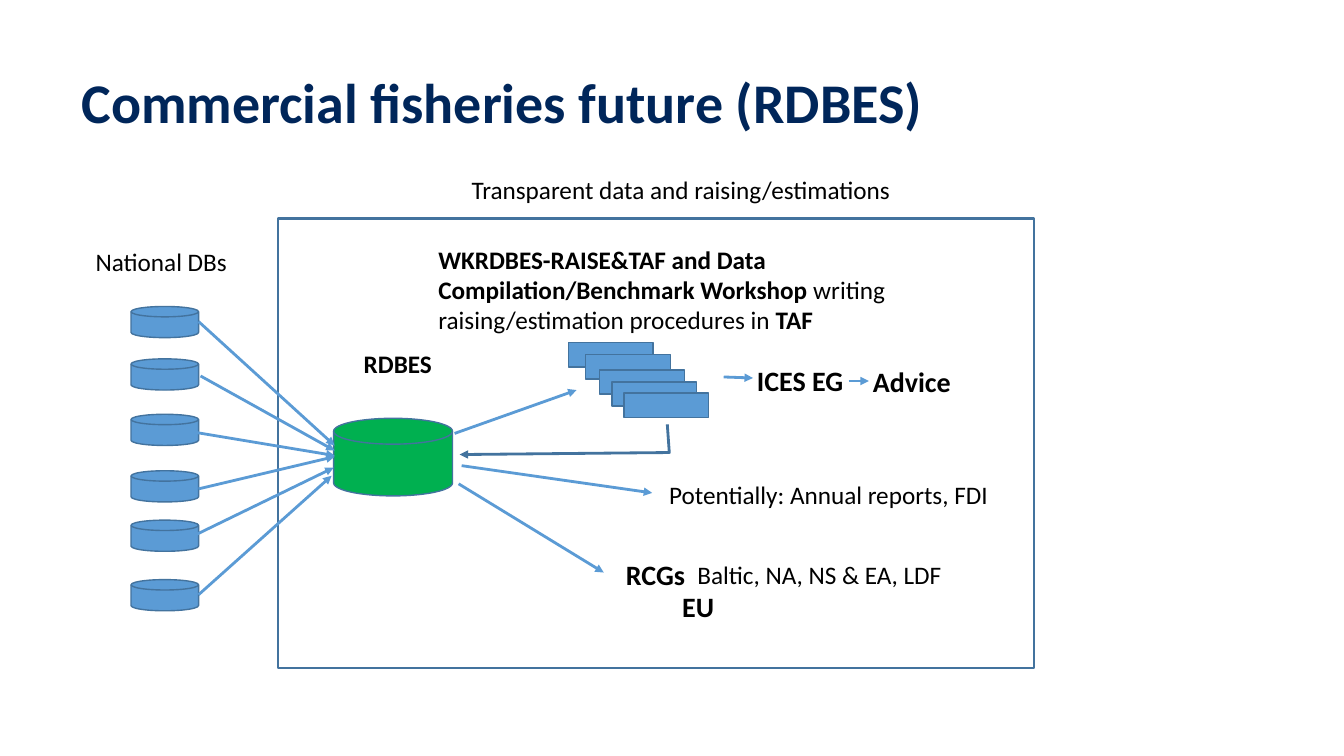
from dataclasses import dataclass

from lxml import etree
from pptx import Presentation
from pptx.dml.color import RGBColor
from pptx.enum.shapes import MSO_CONNECTOR, MSO_SHAPE
from pptx.enum.text import MSO_ANCHOR
from pptx.oxml.ns import qn
from pptx.util import Inches, Pt

RECTANGLE = MSO_SHAPE.RECTANGLE
DISK = MSO_SHAPE.FLOWCHART_MAGNETIC_DISK
STRAIGHT = MSO_CONNECTOR.STRAIGHT
TOP, MIDDLE = MSO_ANCHOR.TOP, MSO_ANCHOR.MIDDLE

WIDTH, HEIGHT = Inches(13.33), Inches(7.5)
COLUMNS, ROWS = 40, 30

FONT = "Calibri"
WHITE, BLACK, NAVY = "FFFFFF", "000000", "00265A"
BLUE, EDGE, GREEN = "5B9BD5", "43739E", "00B050"


@dataclass(frozen=True)
class Area:
    """A rectangle in grid columns and rows."""
    column: float
    row: float
    columns: float
    rows: float


@dataclass(frozen=True)
class Node:
    area: Area
    kind: MSO_SHAPE = RECTANGLE
    fill: str = BLUE
    line_width: float = 1


@dataclass(frozen=True)
class Arrow:
    """Start and end points as (column, row)."""
    start: tuple[float, float]
    end: tuple[float, float]


@dataclass(frozen=True)
class Span:
    text: str
    bold: bool = False


@dataclass(frozen=True)
class Label:
    area: Area
    spans: tuple[Span, ...]
    size: float = 18
    color: str = BLACK
    anchor: MSO_ANCHOR = TOP
    line_spacing: float = 1.0


DATABASE_ROWS = (12.16, 14.24, 16.44, 18.68, 20.64, 23)
PROCEDURE_CORNERS = ((16.92, 13.6), (17.43, 14.08), (17.85, 14.68),
                     (18.21, 15.16), (18.57, 15.6))

NODES = (
    Node(Area(8.28, 8.68, 22.5, 17.84), fill=WHITE, line_width=1.75),
    *(Node(Area(3.9, row, 2.01, 1.24), DISK) for row in DATABASE_ROWS),
    *(Node(Area(column, row, 2.52, 0.96)) for column, row in PROCEDURE_CORNERS),
    Node(Area(9.93, 16.6, 3.54, 3.08), DISK, GREEN),
)

ARROWS = (
    # National databases to RDBES
    Arrow((5.91, 12.76), (9.96, 17.68)),
    Arrow((5.97, 14.92), (9.96, 17.88)),
    Arrow((5.82, 17.16), (9.96, 18.08)),
    Arrow((5.91, 19.4), (9.96, 18.12)),
    Arrow((5.55, 21.4), (9.93, 18.56)),
    Arrow((5.91, 23.6), (9.87, 18.88)),
    # RDBES to its users
    Arrow((13.53, 17.2), (17.16, 15.48)),
    Arrow((13.74, 18.48), (19.41, 19.56)),
    Arrow((13.65, 19.2), (17.97, 22.72)),
    # Procedures to expert group to advice
    Arrow((21.54, 14.96), (22.41, 15)),
    Arrow((25.26, 15.12), (25.86, 15.12)),
)
RETURN_ROUTE = ((19.86, 16.84), (19.92, 17.96), (13.68, 18.04))

LABELS = (
    Label(Area(2.13, 1.88, 30.66, 4.64),
          (Span("Commercial fisheries future (RDBES)", True),),
          40, NAVY, MIDDLE, 0.9),
    Label(Area(13.74, 6.72, 15.78, 1.56),
          (Span("Transparent data and raising/estimations"),)),
    Label(Area(2.55, 9.56, 4.74, 1.56), (Span("National DBs"),)),
    Label(Area(12.75, 9.48, 14.22, 3.84),
          (Span("WKRDBES-RAISE&TAF and Data Compilation/Benchmark Workshop ", True),
           Span("writing raising/estimation procedures in "),
           Span("TAF", True))),
    Label(Area(10.53, 13.64, 3.39, 2.4), (Span("RDBES", True),)),
    Label(Area(22.23, 14.24, 3.39, 1.76), (Span("ICES EG", True),), 20),
    Label(Area(25.68, 14.28, 3.39, 1.76), (Span("Advice", True),), 20),
    Label(Area(19.62, 18.84, 10.59, 1.52),
          (Span("Potentially: Annual reports, FDI"),)),
    Label(Area(18.33, 21.92, 3.51, 2.64), (Span("RCGs", True),), 20),
    Label(Area(20.46, 22, 8.88, 1.96), (Span("Baltic, NA, NS & EA, LDF"),)),
    Label(Area(20.01, 23.2, 1.68, 1.96), (Span("EU", True),), 20),
)


def rgb(color: str) -> RGBColor:
    return RGBColor.from_string(color)


def place(column: float, row: float) -> tuple[int, int]:
    """Turn grid units into slide lengths."""
    return round(WIDTH * column / COLUMNS), round(HEIGHT * row / ROWS)


def bounds(area: Area) -> tuple[int, int, int, int]:
    return place(area.column, area.row) + place(area.columns, area.rows)


def set_line(shape, color: str, width: float, arrow: bool = False) -> None:
    shape.line.color.rgb = rgb(color)
    shape.line.width = Pt(width)
    if arrow:
        line = shape.line._get_or_add_ln()
        etree.SubElement(line, qn("a:tailEnd"), type="triangle")


def draw_node(page, node: Node) -> None:
    shape = page.shapes.add_shape(node.kind, *bounds(node.area))
    shape.shadow.inherit = False
    shape.fill.solid()
    shape.fill.fore_color.rgb = rgb(node.fill)
    set_line(shape, EDGE, node.line_width)


def draw_arrow(page, arrow: Arrow) -> None:
    connector = page.shapes.add_connector(
        STRAIGHT, *place(*arrow.start), *place(*arrow.end))
    set_line(connector, BLUE, 2, arrow=True)
    etree.SubElement(connector._element.spPr, qn("a:effectLst"))


def draw_return_route(page) -> None:
    start, *rest = (place(*point) for point in RETURN_ROUTE)
    builder = page.shapes.build_freeform(*start)
    builder.add_line_segments(rest, close=False)
    route = builder.convert_to_shape()
    route.shadow.inherit = False
    route.fill.background()
    set_line(route, EDGE, 2, arrow=True)


def draw_label(page, label: Label) -> None:
    box = page.shapes.add_textbox(*bounds(label.area))
    frame = box.text_frame
    frame.word_wrap = True
    frame.vertical_anchor = label.anchor
    para = frame.paragraphs[0]
    para.line_spacing = label.line_spacing
    for span in label.spans:
        run = para.add_run()
        run.text = span.text
        run.font.name = FONT
        run.font.size = Pt(label.size)
        run.font.bold = span.bold
        run.font.color.rgb = rgb(label.color)


def main() -> None:
    deck = Presentation()
    deck.slide_width, deck.slide_height = WIDTH, HEIGHT
    page = deck.slides.add_slide(deck.slide_layouts[6])
    for node in NODES:
        draw_node(page, node)
    for arrow in ARROWS:
        draw_arrow(page, arrow)
    draw_return_route(page)
    for label in LABELS:
        draw_label(page, label)
    deck.save("out.pptx")


if __name__ == "__main__":
    main()
